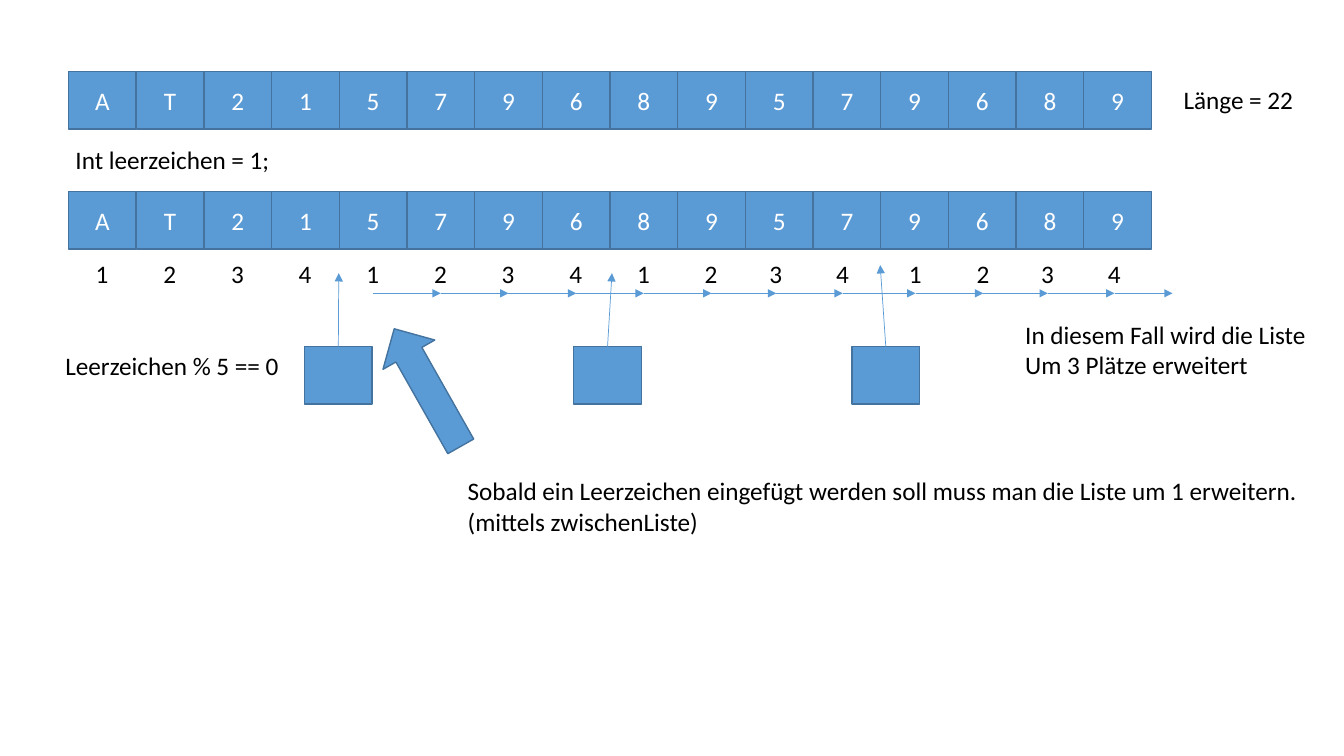
from dataclasses import dataclass
from lxml.etree import SubElement
from pptx import Presentation
from pptx.dml.color import RGBColor
from pptx.enum.shapes import MSO_CONNECTOR, MSO_SHAPE
from pptx.enum.text import MSO_ANCHOR, MSO_AUTO_SIZE, PP_ALIGN
from pptx.oxml.ns import qn
from pptx.util import Inches, Pt


@dataclass(frozen=True)
class Theme:
    fill: RGBColor = RGBColor.from_string("5B9BD5")
    outline: RGBColor = RGBColor.from_string("43739E")
    light: RGBColor = RGBColor.from_string("FFFFFF")
    dark: RGBColor = RGBColor.from_string("000000")
    font: str = "Calibri"
    text_size: Pt = Pt(18)
    outline_width: Pt = Pt(1)
    arrow_width: Pt = Pt(0.5)


theme = Theme()
presentation = Presentation()
presentation.slide_width, presentation.slide_height = Inches(13.33), Inches(7.5)
slide = presentation.slides.add_slide(presentation.slide_layouts[6])

# Grid: sixteen columns, cells one column wide
GRID_LEFT, COLUMN, CELL_HEIGHT = 0.68, 0.67125, 0.57
LIST_TOP, COPY_TOP, COUNT_TOP, SHIFT_TOP, BLANK_TOP = 0.71, 1.9, 2.51, 2.91, 3.44
LINE_HEIGHT, PADDING = 0.31, 0.09
symbols = "AT21579689579689"

frame_format = {"word_wrap": False, "auto_size": MSO_AUTO_SIZE.SHAPE_TO_FIT_TEXT}
cell_format = {"word_wrap": True, "vertical_anchor": MSO_ANCHOR.MIDDLE}


def write(shape, lines, color, frame_values, alignment):
    frame = shape.text_frame
    for name, value in frame_values.items():
        setattr(frame, name, value)
    for index, line in enumerate(lines):
        paragraph = frame.add_paragraph() if index else frame.paragraphs[0]
        paragraph.alignment = alignment
        run = paragraph.add_run()
        run.text = line
        run.font.color.rgb = color
        for name, value in {"name": theme.font, "size": theme.text_size}.items():
            setattr(run.font, name, value)


def add_arrow(start, end):
    ends = [Inches(length) for length in (*start, *end)]
    arrow = slide.shapes.add_connector(MSO_CONNECTOR.STRAIGHT, *ends)
    arrow.line.color.rgb = theme.fill
    arrow.line.width = theme.arrow_width
    SubElement(arrow.line._get_or_add_ln(), qn("a:tailEnd"), type="triangle")
    SubElement(arrow._element.spPr, qn("a:effectLst"))


# Both lists, the three blanks to insert and the block arrow
blank_lefts = [3.02, 5.69, 8.45]
boxes = [
    (MSO_SHAPE.RECTANGLE, GRID_LEFT + column * COLUMN, top, COLUMN, CELL_HEIGHT, 0, symbol)
    for top in (LIST_TOP, COPY_TOP)
    for column, symbol in enumerate(symbols)
]
boxes += [
    (MSO_SHAPE.RECTANGLE, left, BLANK_TOP, COLUMN, CELL_HEIGHT, 0, "")
    for left in blank_lefts
]
boxes.append((MSO_SHAPE.RIGHT_ARROW, 3.57, 3.55, 1.34, 0.59, 240.5, ""))
for preset, left, top, width, height, rotation, symbol in boxes:
    box = slide.shapes.add_shape(
        preset, Inches(left), Inches(top), Inches(width), Inches(height)
    )
    box.rotation = rotation
    box.shadow.inherit = False
    box.fill.solid()
    box.fill.fore_color.rgb = theme.fill
    box.line.color.rgb = theme.outline
    box.line.width = theme.outline_width
    if symbol:
        write(box, [symbol], theme.light, cell_format, PP_ALIGN.CENTER)

# Counting 1 to 4 under the columns; the last six are nudged by hand
nudges = [0] * 10 + [-0.03, -0.04, 0.01, 0.01, -0.02, -0.03]
count_centers = [
    GRID_LEFT + (column + 0.5) * COLUMN + nudge for column, nudge in enumerate(nudges)
]
labels = [
    (center - 0.165, COUNT_TOP, 0.33, [str(column % 4 + 1)])
    for column, center in enumerate(count_centers)
]

# Explanations
labels += [
    (11.64, 0.79, 1.3, ["Länge = 22"]),
    (0.65, 1.38, 2.15, ["Int leerzeichen = 1;"]),
    (0.55, 3.43, 2.35, ["Leerzeichen % 5 == 0"]),
    (10.07, 3.12, 3.02, ["In diesem Fall wird die Liste", "Um 3 Plätze erweitert"]),
    (4.54, 4.67, 8.53, [
        "Sobald ein Leerzeichen eingefügt werden soll muss man die Liste um 1 erweitern.",
        "(mittels zwischenListe)",
    ]),
]
for left, top, width, lines in labels:
    height = len(lines) * LINE_HEIGHT + PADDING
    label = slide.shapes.add_textbox(
        Inches(left), Inches(top), Inches(width), Inches(height)
    )
    write(label, lines, theme.dark, frame_format, PP_ALIGN.LEFT)

# Arrows from each blank up to its gap
for left, tip in zip(blank_lefts, [(3.36, 2.71), (6.07, 2.71), (8.73, 2.63)]):
    add_arrow((left + COLUMN / 2, BLANK_TOP), tip)

# Chain of arrows shifting every later entry to the right
stops = count_centers[4:] + [11.63]
for start, end in zip(stops, stops[1:]):
    add_arrow((start, SHIFT_TOP), (end, SHIFT_TOP))

presentation.save("out.pptx")
